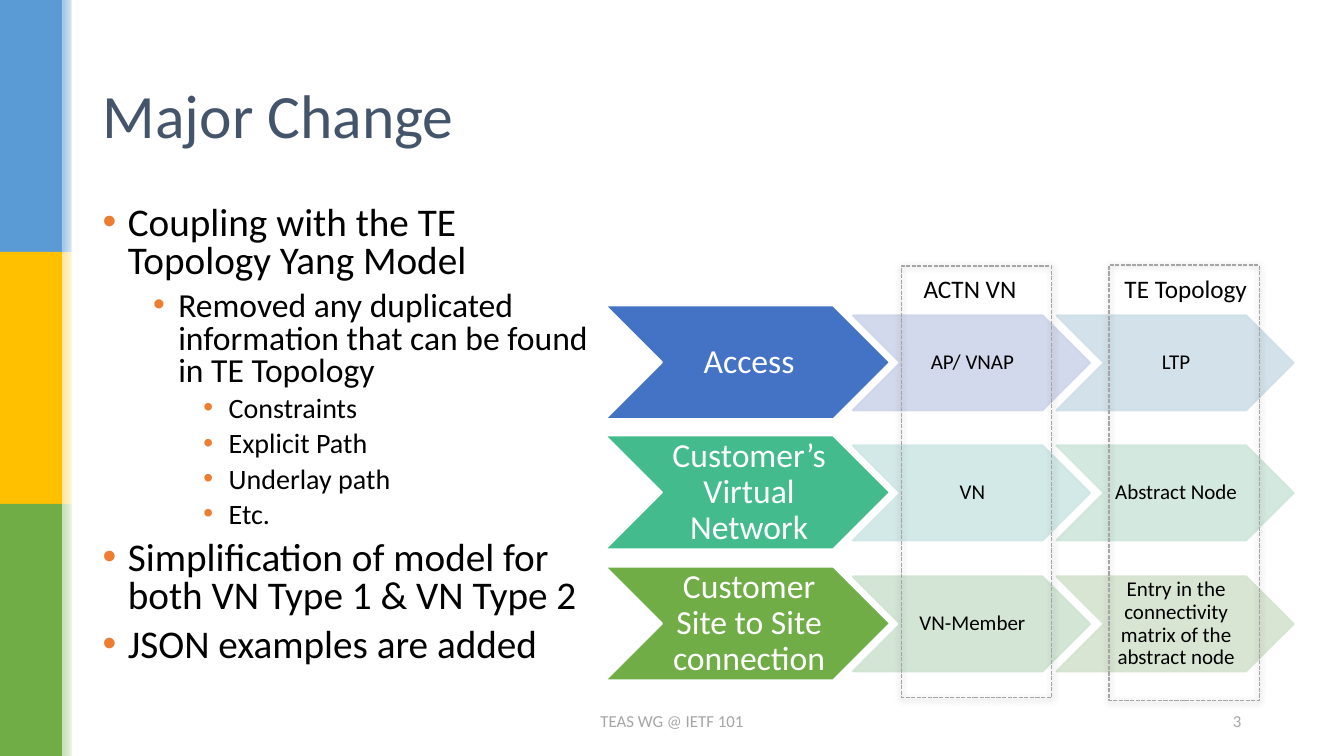
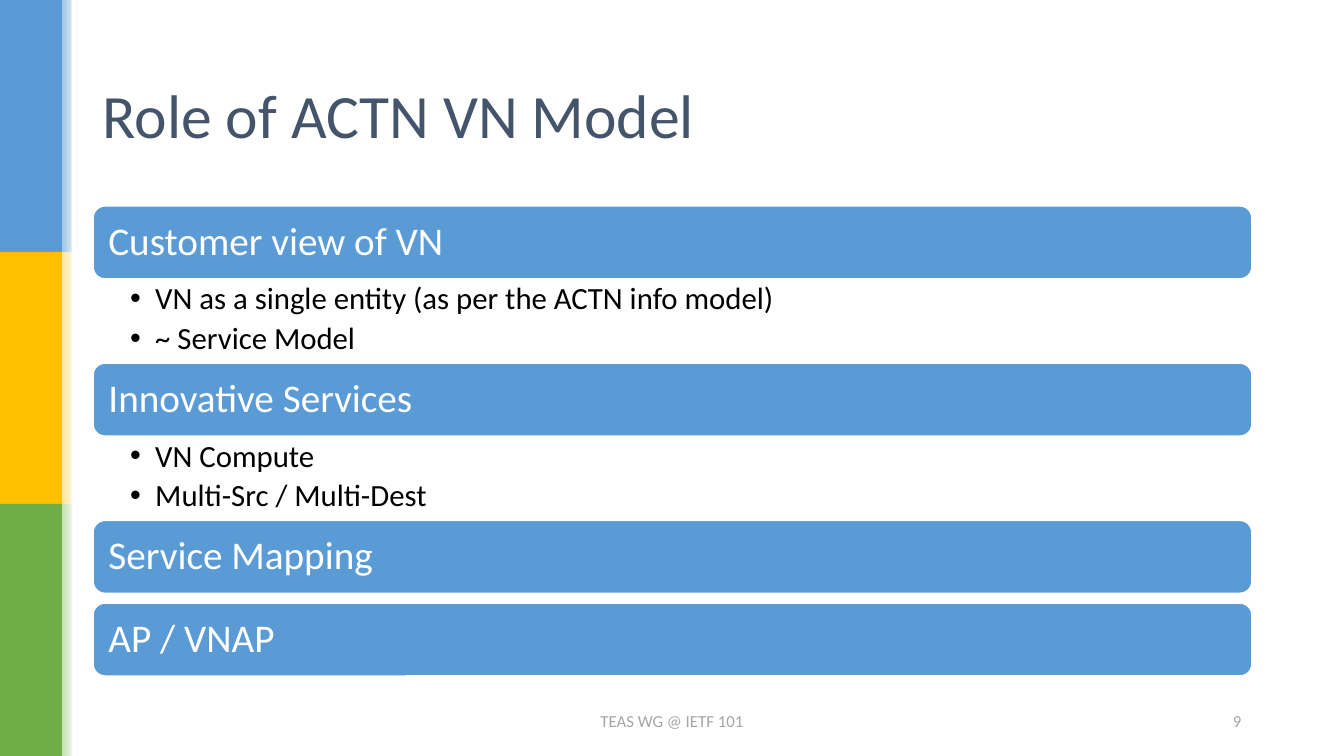
"""Build two slides on the ACTN VN model: the major change and the model's role."""
from lxml import etree
from pptx import Presentation
from pptx.dml.color import RGBColor
from pptx.enum.dml import MSO_LINE
from pptx.enum.shapes import MSO_SHAPE
from pptx.enum.text import MSO_ANCHOR, PP_ALIGN
from pptx.oxml.ns import qn
from pptx.util import Inches, Pt

RECTANGLE, ROUNDED, CHEVRON = MSO_SHAPE.RECTANGLE, MSO_SHAPE.ROUNDED_RECTANGLE, MSO_SHAPE.CHEVRON
LEFT, CENTER, RIGHT = PP_ALIGN.LEFT, PP_ALIGN.CENTER, PP_ALIGN.RIGHT
TOP, MIDDLE = MSO_ANCHOR.TOP, MSO_ANCHOR.MIDDLE
DASH = MSO_LINE.SQUARE_DOT

FONT = "Calibri"
BLACK, WHITE, GRAY, SLATE = "000000", "FFFFFF", "A5A5A5", "44546A"
BLUE, YELLOW, GREEN, ORANGE = "5B9BD5", "FFC000", "70AD47", "ED7D31"
BANDS = [(BLUE, "9DC3E6"), (YELLOW, "FFE699"), (GREEN, "C5E0B4")]
FOOTER = "TEAS WG @ IETF 101"
color = RGBColor.from_string


def add_box(slide, place, preset=None, fill=None, line=None, width=1.5):
    """Add a preset shape, or a text box when no preset is given."""
    lengths = [Inches(length) for length in place]
    if preset is None:
        return slide.shapes.add_textbox(*lengths)
    shape = slide.shapes.add_shape(preset, *lengths)
    shape.shadow.inherit = False
    if fill:
        shape.fill.solid()
        shape.fill.fore_color.rgb = color(fill)
    else:
        shape.fill.background()
    if line:
        shape.line.color.rgb = color(line)
        shape.line.width = Pt(width)
    else:
        shape.line.fill.background()
    return shape


def add_text(shape, entries, ink, align=LEFT, anchor=MIDDLE, spacing=1.0,
             insets=(0.1, 0.05, 0.1, 0.05), bullet=None, before=0, after=0, wrap=True):
    """Write (text, size, level) entries; bullet is the bullet colour."""
    frame = shape.text_frame
    frame.word_wrap = wrap
    frame.vertical_anchor = anchor
    frame.margin_left, frame.margin_top, frame.margin_right, frame.margin_bottom = [
        Inches(inset) for inset in insets]
    for index, (text, size, level) in enumerate(entries):
        paragraph = frame.paragraphs[0] if index == 0 else frame.add_paragraph()
        paragraph.alignment = align
        paragraph.line_spacing = spacing
        paragraph.space_before = Pt(size * before)
        paragraph.space_after = Pt(size * after)
        if bullet:
            paragraph.level = level
            properties = paragraph._p.get_or_add_pPr()
            properties.set("marL", str(Inches(0.25 + 0.5 * level)))
            properties.set("indent", str(-Inches(0.25)))
            bullet_color = etree.SubElement(properties, qn("a:buClr"))
            etree.SubElement(bullet_color, qn("a:srgbClr"), val=bullet)
            etree.SubElement(properties, qn("a:buFont"), typeface="Arial")
            etree.SubElement(properties, qn("a:buChar"), char="•")
        run = paragraph.add_run()
        run.text = text
        run.font.name = FONT
        run.font.size = Pt(size)
        run.font.color.rgb = color(ink)


presentation = Presentation()
presentation.slide_width = Inches(13.33)
presentation.slide_height = Inches(7.5)
blank = presentation.slide_layouts[6]

slides = []
for title, number in [("Major Change", "3"), ("Role of ACTN VN Model", "9")]:
    slide = presentation.slides.add_slide(blank)
    slides.append(slide)
    for index, (band, tint) in enumerate(BANDS):
        add_box(slide, (0, 2.5 * index, 0.62, 2.5), RECTANGLE, band)
        fade = add_box(slide, (0.62, 2.5 * index, 0.16, 2.5), RECTANGLE)
        fade.fill.gradient()
        fade.fill.gradient_angle = 0
        for stop, shade in zip(fade.fill.gradient_stops, (tint, WHITE)):
            stop.color.rgb = color(shade)
    add_box(slide, (0.71, 0, 0.05, 7.5), RECTANGLE, WHITE)
    add_text(add_box(slide, (0.92, 0.4, 11.5, 1.45)), [(title, 44, 0)], SLATE)
    add_text(add_box(slide, (5.08, 6.95, 3.17, 0.4)), [(FOOTER, 12, 0)], GRAY, CENTER)
    add_text(add_box(slide, (8.83, 6.95, 3.58, 0.4)), [(number, 12, 0)], GRAY, RIGHT)
change_slide, role_slide = slides

changes = [
    ("Coupling with the TE Topology Yang Model", 28, 0),
    ("Removed any duplicated information that can be found in TE Topology", 24, 1),
    ("Constraints", 20, 2),
    ("Explicit Path", 20, 2),
    ("Underlay path", 20, 2),
    ("Etc.", 20, 2),
    ("Simplification of model for both VN Type 1 & VN Type 2", 28, 0),
    ("JSON examples are added", 28, 0),
]
add_text(add_box(change_slide, (0.92, 2, 5.17, 4.95)), changes, BLACK,
         anchor=TOP, spacing=0.8, bullet=ORANGE, before=0.3)

mappings = [
    (3.03, ("Access", "4472C4"), [("AP/ VNAP", "CFD5EA"), ("LTP", "CFDFE8")]),
    (4.32, ("Customer’s Virtual Network", "43BB8D"),
     [("VN", "CFE7E6"), ("Abstract Node", "CFE6DB")]),
    (5.62, ("Customer Site to Site connection", GREEN),
     [("VN-Member", "CFE4D2"),
      ("Entry in the connectivity matrix of the abstract node", "D5E3CF")]),
]
for top, (concept, fill), steps in mappings:
    chevron = add_box(change_slide, (6, top, 2.83, 1.13), CHEVRON, fill, WHITE)
    add_text(chevron, [(concept, 24, 0)], WHITE, CENTER, spacing=0.9,
             insets=(0.03, 0.02, 0, 0.02))
    for left, (step, tint) in zip((8.46, 10.48), steps):
        chevron = add_box(change_slide, (left, top + 0.1, 2.35, 0.94), CHEVRON, tint, tint)
        for tint_element in list(chevron.element.spPr.iter(qn("a:srgbClr"))):
            etree.SubElement(tint_element, qn("a:alpha"), val="90000")
        add_text(chevron, [(step, 15, 0)], BLACK, CENTER, spacing=0.9,
                 insets=(0.02, 0.01, 0, 0.01))

frames = [
    ("ACTN VN", (8.94, 2.64, 1.49, 4.28), (9.06, 2.66, 1.12, 0.4)),
    ("TE Topology", (11, 2.63, 1.49, 4.32), (11.05, 2.66, 1.42, 0.4)),
]
for label, frame_place, label_place in frames:
    outline = add_box(change_slide, frame_place, RECTANGLE, line=GRAY, width=1)
    outline.line.dash_style = DASH
    effects = outline.element.spPr.find(qn("a:effectLst"))
    shadow = etree.SubElement(effects, qn("a:outerShdw"), blurRad=str(Pt(5)),
                              dist=str(Pt(1)), dir="5400000", rotWithShape="0")
    shadow_color = etree.SubElement(shadow, qn("a:srgbClr"), val=BLACK)
    etree.SubElement(shadow_color, qn("a:alpha"), val="32000")
    add_text(add_box(change_slide, label_place), [(label, 18, 0)], BLACK, CENTER,
             anchor=TOP, wrap=False)

roles = [
    ("Customer view of VN",
     ["VN as a single entity (as per the ACTN info model)", "~ Service Model"]),
    ("Innovative Services", ["VN Compute", "Multi-Src / Multi-Dest"]),
    ("Service Mapping", []),
    ("AP / VNAP", []),
]
top = 2.04
for role, details in roles:
    bar = add_box(role_slide, (0.92, top, 11.5, 0.73), ROUNDED, BLUE, WHITE)
    add_text(bar, [(role, 28, 0)], WHITE, spacing=0.9, insets=(0.12, 0.12, 0.12, 0.12))
    top += 0.73
    if details:
        add_text(add_box(role_slide, (0.92, top, 11.5, 0.82)),
                 [(detail, 22, 0) for detail in details], BLACK, anchor=TOP, spacing=0.9,
                 insets=(0.37, 0.04, 0.22, 0.04), bullet=BLACK, after=0.2)
    top += 0.83 if details else 0.09

presentation.save("out.pptx")
